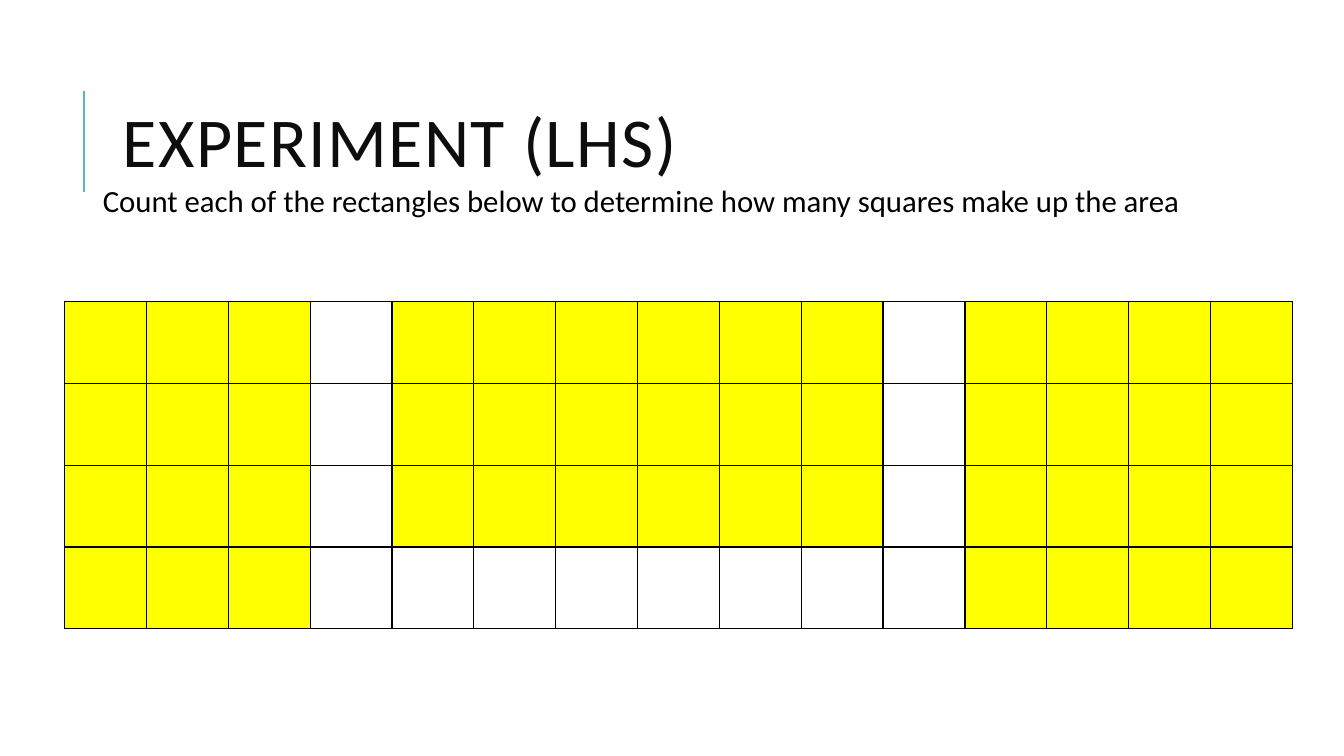
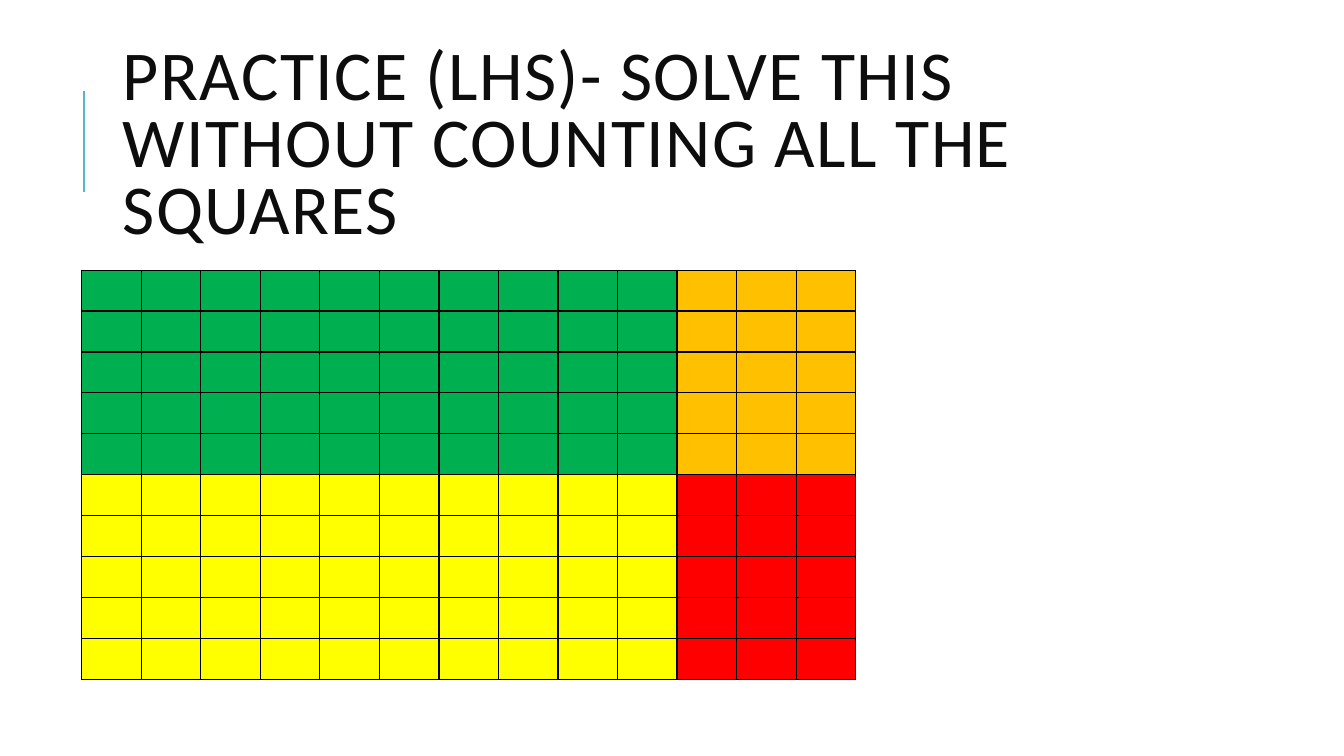
import pptx
import pptx.dml.color
import pptx.enum.shapes
import pptx.enum.text
import pptx.oxml
import pptx.oxml.ns
import pptx.util
from pptx.util import Inches

# Content: each letter in a grid row is one coloured square
FILLS = {"Y": "FFFF00", "W": "FFFFFF", "G": "00B050", "O": "FFC000", "R": "FF0000"}
SLIDES = [
    {
        "title": "EXPERIMENT (LHS)",
        "title_width": 6.63,
        "body": "Count each of the rectangles below to determine "
                "how many squares make up the area",
        "grid": ["YYYWYYYYYYWYYYY"] * 3 + ["YYYWWWWWWWWYYYY"],
        "grid_box": (0.64, 2.99, 12.18, 3.25),
    },
    {
        "title": "PRACTICE (LHS)- SOLVE THIS WITHOUT COUNTING ALL THE SQUARES",
        "title_width": 10.63,
        "grid": ["G" * 10 + "OOO"] * 5 + ["Y" * 10 + "RRR"] * 5,
        "grid_box": (0.81, 2.68, 7.68, 4.06),
    },
]

# Shared style
FONT = "Calibri"
ACCENT, TITLE_COLOR, BLACK = "58B6C0", "0D0D0D", "000000"


def rgb(value):
    return pptx.dml.color.RGBColor.from_string(value)


def add_accent(slide):
    x = Inches(0.83)
    line = slide.shapes.add_connector(
        pptx.enum.shapes.MSO_CONNECTOR.STRAIGHT, x, Inches(1.9), x, Inches(0.9))
    line.line.color.rgb = rgb(ACCENT)
    line.line.width = pptx.util.Pt(1.5)
    pptx.oxml.ns.qn("a:effectLst")
    line._element.spPr.append(pptx.oxml.parse_xml(
        f"<a:effectLst {pptx.oxml.ns.nsdecls('a')}/>"))


def add_text(slide, text, box, size, color, line_spacing):
    tf = slide.shapes.add_textbox(*map(Inches, box)).text_frame
    tf.word_wrap = True
    p = tf.paragraphs[0]
    p.line_spacing = line_spacing
    r = p.add_run()
    r.text = text
    r.font.size = pptx.util.Pt(size)
    r.font.name = FONT
    r.font.color.rgb = rgb(color)
    return tf, r


def add_title(slide, text, width):
    tf, r = add_text(slide, text, (1.12, 0.64, width, 1.64), 50, TITLE_COLOR, 0.8)
    tf.vertical_anchor = pptx.enum.text.MSO_ANCHOR.MIDDLE
    r.font._element.set("spc", "100")


def add_body(slide, text):
    tf, r = add_text(slide, text, (0.8, 1.8, 11.06, 4.4), 22, BLACK, 0.9)
    tf.margin_left = Inches(0.22)
    tf.margin_right = tf.margin_top = tf.margin_bottom = Inches(0.05)


def add_borders(cell):
    tc_pr = cell._tc.get_or_add_tcPr()
    for i, side in enumerate(("lnL", "lnR", "lnT", "lnB")):
        tc_pr.insert(i, pptx.oxml.parse_xml(
            f'<a:{side} {pptx.oxml.ns.nsdecls("a")} w="12700"><a:solidFill>'
            f'<a:srgbClr val="{BLACK}"/></a:solidFill></a:{side}>'))


def add_grid(slide, rows, box):
    left, top, width, height = map(Inches, box)
    n_rows, n_cols = len(rows), len(rows[0])
    table = slide.shapes.add_table(
        n_rows, n_cols, left, top, width, height).table
    table.first_row = table.horz_banding = False
    for column in table.columns:
        column.width = round(width / n_cols)
    for row, letters in zip(table.rows, rows):
        row.height = round(height / n_rows)
        for cell, letter in zip(row.cells, letters):
            cell.margin_top = cell.margin_bottom = 0
            cell.fill.solid()
            cell.fill.fore_color.rgb = rgb(FILLS[letter])
            add_borders(cell)


def main():
    prs = pptx.Presentation()
    prs.slide_width, prs.slide_height = Inches(13.33), Inches(7.5)
    for content in SLIDES:
        slide = prs.slides.add_slide(prs.slide_layouts[6])
        add_accent(slide)
        add_title(slide, content["title"], content["title_width"])
        if "body" in content:
            add_body(slide, content["body"])
        add_grid(slide, content["grid"], content["grid_box"])
    prs.save("out.pptx")


if __name__ == "__main__":
    main()
